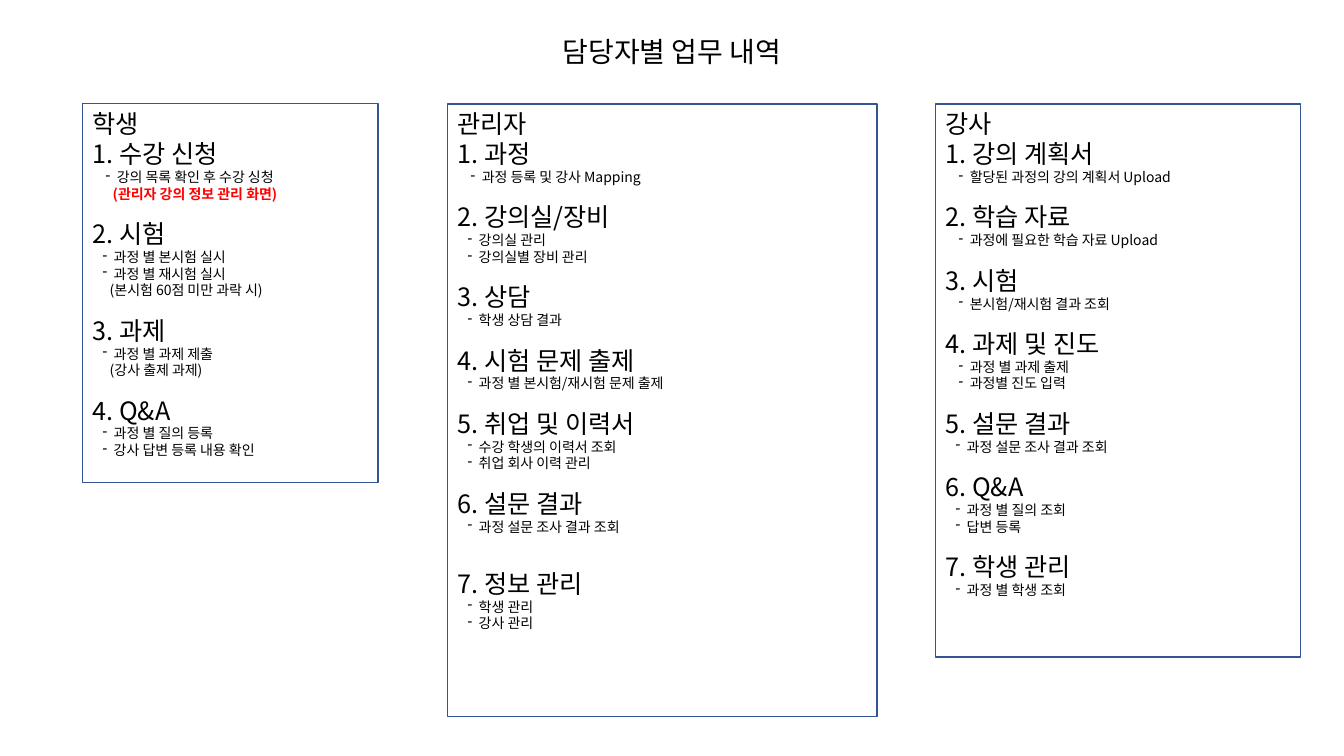
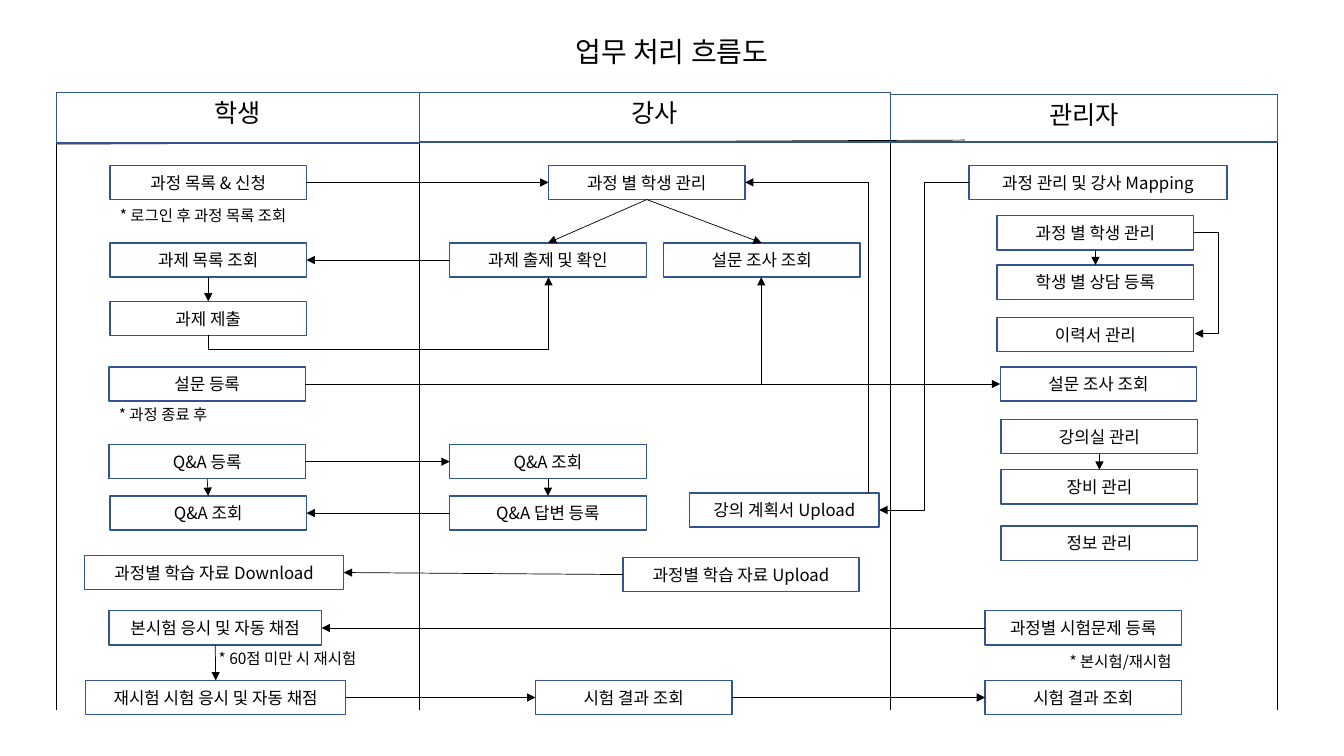
"""Build two slides: the duties of each role, and the work flow between the roles."""
from math import cos, radians, sin

from lxml.etree import SubElement
from pptx import Presentation
from pptx.dml.color import RGBColor
from pptx.enum.shapes import MSO_CONNECTOR as Connector, MSO_SHAPE as Shape
from pptx.enum.text import MSO_ANCHOR as Anchor, PP_ALIGN as Align
from pptx.oxml.ns import qn
from pptx.util import Inches, Pt

FONT = "Noto Sans CJK KR"
BLACK, RED, BLUE = "000000", "FF0000", "325491"
WIDTH, HEIGHT = 13.33, 7.5
LINE_SPACING = 1.19
HEADING_SIZE, DETAIL_SIZE, BOX_SIZE, NOTE_SIZE, TITLE_SIZE = 18, 10, 12, 11, 20
BLANK_LINE = DETAIL_SIZE * LINE_SPACING
DASH_GAP = 0.11

DUTY_TITLE = "담당자별 업무 내역"
WARNING = "(관리자 강의 정보 관리 화면)"
PANEL_TOP = 1.03
PANELS = [
    ("학생", 0.82, 2.93, 3.76, [
        ("수강 신청", 0.13, ["강의 목록 확인 후 수강 싱청", WARNING]),
        ("시험", 0.1, ["과정 별 본시험 실시", "과정 별 재시험 실시", "(본시험 60점 미만 과락 시)"]),
        ("과제", 0.1, ["과정 별 과제 제출", "(강사 출제 과제)"]),
        ("Q&A", 0.1, ["과정 별 질의 등록", "강사 답변 등록 내용 확인"]),
    ]),
    ("관리자", 4.44, 4.26, 6.08, [
        ("과정", 0.13, ["과정 등록 및 강사 Mapping"]),
        ("강의실/장비", 0.1, ["강의실 관리", "강의실별 장비 관리"]),
        ("상담", 0.1, ["학생 상담 결과"]),
        ("시험 문제 출제", 0.1, ["과정 별 본시험/재시험 문제 출제"]),
        ("취업 및 이력서", 0.1, ["수강 학생의 이력서 조회", "취업 회사 이력 관리"]),
        ("설문 결과", 0.1, ["과정 설문 조사 결과 조회"]),
        ("정보 관리", 0.1, ["학생 관리", "강사 관리"]),
    ]),
    ("강사", 9.28, 3.62, 5.49, [
        ("강의 계획서", 0.13, ["할당된 과정의 강의 계획서 Upload"]),
        ("학습 자료", 0.13, ["과정에 필요한 학습 자료 Upload"]),
        ("시험", 0.13, ["본시험/재시험 결과 조회"]),
        ("과제 및 진도", 0.13, ["과정 별 과제 출제", "과정별 진도 입력"]),
        ("설문 결과", 0.1, ["과정 설문 조사 결과 조회"]),
        ("Q&A", 0.1, ["과정 별 질의 조회", "답변 등록"]),
        ("학생 관리", 0.1, ["과정 별 학생 조회"]),
    ]),
]
DOUBLE_GAP_BEFORE = "정보 관리"

FLOW_TITLE = "업무 처리 흐름도"
LANE_EDGES = [0.56, 4.16, 8.83, 12.67]
LANE_TOP, LANE_BOTTOM = 0.94, 7.04
LANES = [("학생", 0.92, 0.5), ("강사", 0.92, 0.49), ("관리자", 0.94, 0.47)]
BOX_WIDTH, BOX_HEIGHT = 1.95, 0.34
BOXES = {
    "apply": ("과정 목록 & 신청", 1.09, 1.64, BOX_WIDTH),
    "task list": ("과제 목록 조회", 1.09, 2.41, BOX_WIDTH),
    "task submit": ("과제 제출", 1.09, 2.99, BOX_WIDTH),
    "survey": ("설문 등록", 1.08, 3.64, BOX_WIDTH),
    "question": ("Q&A 등록", 1.08, 4.41, BOX_WIDTH),
    "answer view": ("Q&A 조회", 1.09, 4.92, BOX_WIDTH),
    "download": ("과정별 학습 자료 Download", 0.84, 5.51, 2.57),
    "exam": ("본시험 응시 및 자동 채점", 1.08, 6.06, 2.11),
    "retest": ("재시험 시험 응시 및 자동 채점", 0.85, 6.75, 2.58),
    "students": ("과정 별 학생 관리", 5.44, 1.64, BOX_WIDTH),
    "task check": ("과제 출제 및 확인", 4.46, 2.41, BOX_WIDTH),
    "survey view": ("설문 조사 조회", 6.58, 2.41, BOX_WIDTH),
    "question view": ("Q&A 조회", 4.46, 4.41, BOX_WIDTH),
    "answer": ("Q&A 답변 등록", 4.46, 4.92, BOX_WIDTH),
    "plan": ("강의 계획서 Upload", 6.84, 4.89, 1.88),
    "upload": ("과정별 학습 자료 Upload", 6.18, 5.53, 2.34),
    "result": ("시험 결과 조회", 5.31, 6.75, BOX_WIDTH),
    "mapping": ("과정 관리 및 강사 Mapping", 9.61, 1.64, 2.56),
    "admin students": ("과정 별 학생 관리", 9.89, 2.14, BOX_WIDTH),
    "counsel": ("학생 별 상담 등록", 9.89, 2.63, BOX_WIDTH),
    "resume": ("이력서 관리", 9.89, 3.15, BOX_WIDTH),
    "admin survey": ("설문 조사 조회", 9.92, 3.64, BOX_WIDTH),
    "room": ("강의실 관리", 9.93, 4.16, BOX_WIDTH),
    "equipment": ("장비 관리", 9.93, 4.66, BOX_WIDTH),
    "information": ("정보 관리", 9.93, 5.22, BOX_WIDTH),
    "exam entry": ("과정별 시험문제 등록", 9.77, 6.06, BOX_WIDTH),
    "admin result": ("시험 결과 조회", 9.77, 6.75, BOX_WIDTH),
}
NOTES = [
    ("* 로그인 후 과정 목록 조회", 1.09, 2, 2.1),
    ("* 과정 종료 후", 1.08, 3.97, 2.1),
    ("* 60점 미만 시 재시험", 2.07, 6.39, 2.1),
    ("* 본시험/재시험", 10.51, 6.42, 1.43),
]
TOP, LEFT, BOTTOM, RIGHT = range(4)
ARROWS = {
    (RIGHT, LEFT): [("apply", "students"), ("survey", "admin survey"),
                    ("question", "question view"), ("retest", "result"),
                    ("result", "admin result")],
    (LEFT, RIGHT): [("task check", "task list"), ("answer", "answer view"),
                    ("upload", "download"), ("exam entry", "exam")],
    (BOTTOM, TOP): [("students", "task check"), ("students", "survey view"),
                    ("task list", "task submit"), ("question", "answer view"),
                    ("question view", "answer"), ("exam", "retest"),
                    ("admin students", "counsel"), ("room", "equipment")],
}
ELBOWS = [
    ((2.07, 3.32), (5.44, 2.75), 90, "bentConnector3", -0.26),
    ((3.03, 3.81), (7.55, 2.75), 0, "bentConnector2", None),
    ((9.61, 1.81), (8.72, 5.06), 0, "bentConnector3", 0.5),
    ((8.61, 4.89), (7.39, 1.81), 270, "bentConnector2", None),
    ((11.84, 2.31), (11.85, 3.31), 0, "bentConnector3", 25),
]


def color(value):
    return RGBColor.from_string(value)


def inches(*lengths):
    return [Inches(length) for length in lengths]


def write(paragraph, text, size, ink=BLACK, bold=False, align=Align.LEFT):
    paragraph.alignment = align
    paragraph.line_spacing = Pt(round(size * LINE_SPACING, 1))
    run = paragraph.add_run()
    run.text = text
    font = run.font
    font.name, font.size, font.bold = FONT, Pt(size), bold
    font.color.rgb = color(ink)
    SubElement(run._r.get_or_add_rPr(), qn("a:ea")).set("typeface", FONT)


def indent(paragraph, left, dash):
    properties = paragraph._p.get_or_add_pPr()
    properties.set("marL", str(Inches(left + DASH_GAP * dash)))
    properties.set("indent", str(-Inches(DASH_GAP * dash)))
    if dash:
        SubElement(properties, qn("a:buChar")).set("char", "-")


def add_titled_slide(presentation, text):
    slide = presentation.slides.add_slide(presentation.slide_layouts[5])
    title = slide.shapes.title
    title.left, title.top, title.width, title.height = inches(0, 0.29, WIDTH, 0.44)
    title.text_frame.vertical_anchor = Anchor.TOP
    write(title.text_frame.paragraphs[0], text, TITLE_SIZE, align=Align.CENTER)
    return slide


def add_frame(slide, left, top, width, height, anchor=Anchor.TOP):
    shape = slide.shapes.add_shape(Shape.RECTANGLE, *inches(left, top, width, height))
    shape.shadow.inherit = False
    shape.fill.background()
    shape.line.color.rgb = color(BLUE)
    shape.line.width = Pt(1)
    shape.text_frame.vertical_anchor = anchor
    return shape


def add_panel(slide, role, left, width, height, duties):
    frame = add_frame(slide, left, PANEL_TOP, width, height).text_frame
    write(frame.paragraphs[0], role, HEADING_SIZE)
    for number, (duty, margin, details) in enumerate(duties, 1):
        heading = frame.add_paragraph()
        write(heading, f"{number}. {duty}", HEADING_SIZE)
        if number > 1:
            heading.space_before = Pt(BLANK_LINE * (2 if duty == DOUBLE_GAP_BEFORE else 1))
        for detail in details:
            paragraph = frame.add_paragraph()
            warning = detail == WARNING
            write(paragraph, detail, DETAIL_SIZE, RED if warning else BLACK, warning)
            remark = detail.startswith("(")
            indent(paragraph, margin + 0.07 * remark, not remark)


def add_line(slide, begin, end, kind=Connector.STRAIGHT, arrow=False):
    connector = slide.shapes.add_connector(kind, *inches(*begin, *end))
    connector.line.color.rgb = color(BLACK)
    connector.line.width = Pt(0.5)
    if arrow:
        SubElement(connector.line._get_or_add_ln(), qn("a:tailEnd")).set("type", "triangle")
    SubElement(connector._element.spPr, qn("a:effectLst"))
    return connector


def add_elbow(slide, begin, end, turn, preset, bend):
    center = [(a + b) / 2 for a, b in zip(begin, end)]
    cosine, sine = cos(radians(turn)), sin(radians(turn))

    def unturned(point):
        across, down = (value - middle for value, middle in zip(point, center))
        return (center[0] + across * cosine + down * sine,
                center[1] - across * sine + down * cosine)

    connector = add_line(slide, unturned(begin), unturned(end), Connector.ELBOW, True)
    properties = connector._element.spPr
    properties.find(qn("a:xfrm")).set("rot", str(turn * 60000))
    geometry = properties.find(qn("a:prstGeom"))
    geometry.set("prst", preset)
    if bend is not None:
        adjustments = geometry.find(qn("a:avLst"))
        guide = SubElement(adjustments, qn("a:gd"))
        guide.set("name", "adj1")
        guide.set("fmla", f"val {round(bend * 100000)}")


def build_duties(presentation):
    slide = add_titled_slide(presentation, DUTY_TITLE)
    for panel in PANELS:
        add_panel(slide, *panel)


def build_flow(presentation):
    slide = add_titled_slide(presentation, FLOW_TITLE)
    add_line(slide, (LANE_EDGES[0], 1.43), (9.57, 1.39))
    for edge in LANE_EDGES:
        add_line(slide, (edge, LANE_TOP), (edge, LANE_BOTTOM))
    for (role, top, height), left, right in zip(LANES, LANE_EDGES, LANE_EDGES[1:]):
        header = add_frame(slide, left, top, right - left, height)
        write(header.text_frame.paragraphs[0], role, HEADING_SIZE, align=Align.CENTER)
    boxes = {}
    for key, (text, left, top, width) in BOXES.items():
        boxes[key] = add_frame(slide, left, top, width, BOX_HEIGHT, Anchor.MIDDLE)
        write(boxes[key].text_frame.paragraphs[0], text, BOX_SIZE, align=Align.CENTER)
    for text, left, top, width in NOTES:
        note = slide.shapes.add_textbox(*inches(left, top, width, 0.29))
        note.text_frame.word_wrap = True
        write(note.text_frame.paragraphs[0], text, NOTE_SIZE)
    for (leaving, entering), pairs in ARROWS.items():
        for source, target in pairs:
            arrow = add_line(slide, (0, 0), (1, 1), arrow=True)
            arrow.begin_connect(boxes[source], leaving)
            arrow.end_connect(boxes[target], entering)
    for elbow in ELBOWS:
        add_elbow(slide, *elbow)


presentation = Presentation()
presentation.slide_width, presentation.slide_height = inches(WIDTH, HEIGHT)
build_duties(presentation)
build_flow(presentation)
presentation.save("out.pptx")
